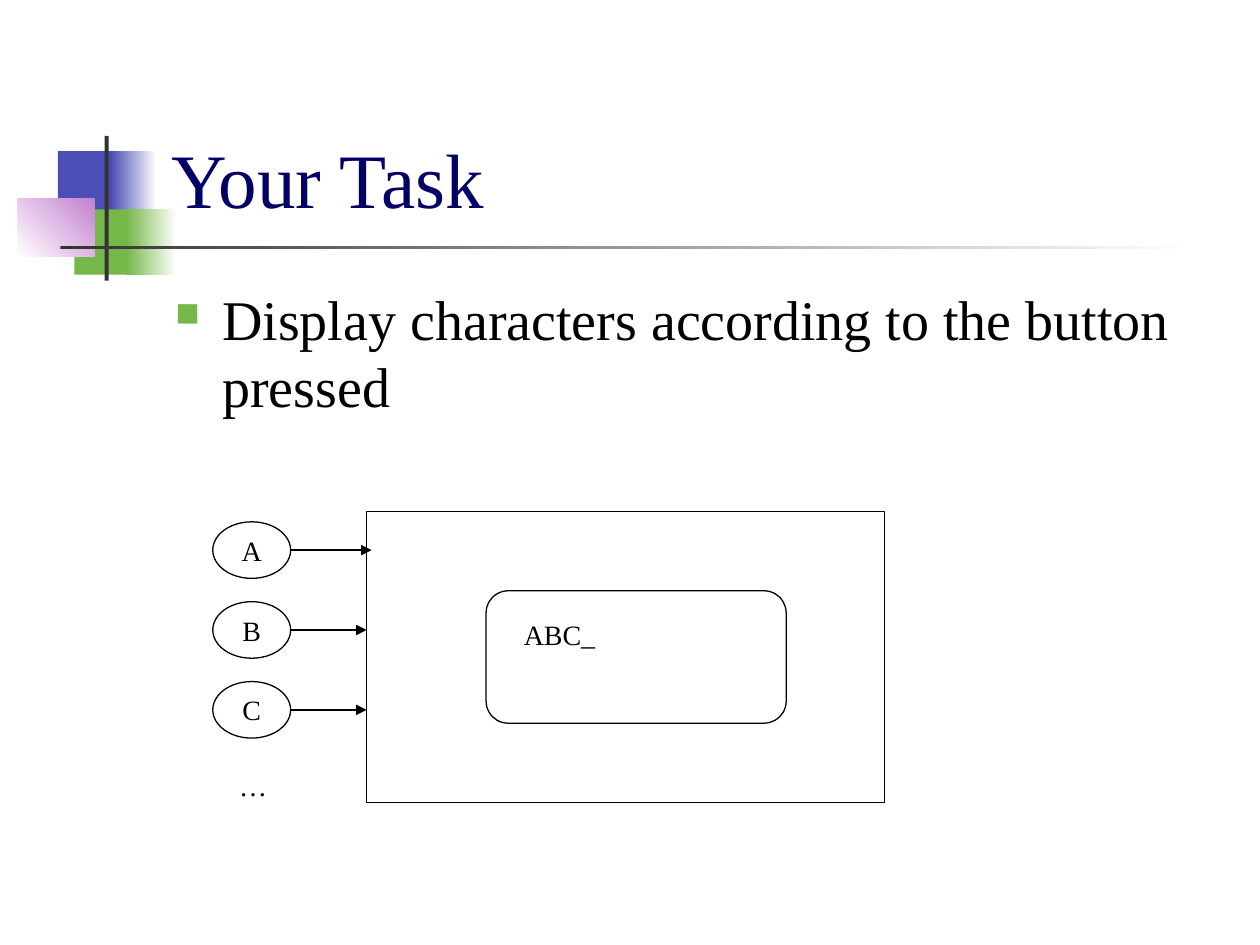
from lxml import etree
from pptx import Presentation
from pptx.dml.color import RGBColor as RGB
from pptx.enum.shapes import MSO_CONNECTOR as CONNECTOR, MSO_SHAPE as SHAPE
from pptx.enum.text import MSO_ANCHOR as ANCHOR, PP_ALIGN as ALIGN
from pptx.oxml.ns import qn
from pptx.util import Cm, Pt

COLORS = {
    "blue": "4B4EB5", "green": "76B749", "pink": "C481CF", "dark": "333333",
    "white": "FFFFFF", "title": "000066", "black": "000000",
}
FONT = "Times New Roman"
DECORATIONS = [
    ((1.17, 3.05, 1.22, 1.32), ["blue"], 0),
    ((2.24, 3.05, 0.91, 1.32), ["blue", "white"], 0),
    ((1.5, 4.22, 1.17, 1.32), ["green"], 0),
    ((2.54, 4.22, 1.02, 1.32), ["green", "white"], 0),
    ((0.36, 4.01, 1.55, 1.17), ["white", "pink"], 45),
    ((2.11, 2.74, 0.08, 2.92), ["dark"], 0),
    ((1.22, 4.95, 22.86, 0.08), ["dark", "white"], 0),
]
BUTTON_LEFT, BUTTON_TOP, BUTTON_PITCH = 4.29, 10.52, 1.61
BUTTON_WIDTH, BUTTON_HEIGHT = 1.57, 1.14
BUTTONS = [("A", 7.49), ("B", 7.39), ("C", 7.39)]


def color(name):
    return RGB.from_string(COLORS[name])


def apply_format(target, values):
    for name, value in values.items():
        setattr(target, name, value)


def write_text(shape, text, size, tint="black", align=ALIGN.LEFT, **frame_format):
    apply_format(shape.text_frame, frame_format)
    paragraph = shape.text_frame.paragraphs[0]
    paragraph.alignment = align
    run = paragraph.add_run()
    run.text = text
    apply_format(run.font, {"name": FONT, "size": Pt(size)})
    run.font.color.rgb = color(tint)
    return paragraph


def add_text(slide, box, text, size, tint="black", **frame_format):
    shape = slide.shapes.add_textbox(*map(Cm, box))
    return write_text(shape, text, size, tint, **frame_format)


def add_decoration(slide, box, tints, angle):
    shape = slide.shapes.add_shape(SHAPE.RECTANGLE, *map(Cm, box))
    shape.shadow.inherit = False
    shape.line.fill.background()
    if len(tints) == 1:
        shape.fill.solid()
        shape.fill.fore_color.rgb = color(tints[0])
        return
    shape.fill.gradient()
    shape.fill.gradient_angle = angle
    for stop, tint in zip(shape.fill.gradient_stops, tints):
        stop.color.rgb = color(tint)


def set_line(line):
    line.width = Pt(0.75)
    line.fill.solid()
    line.fill.fore_color.rgb = color("black")


def add_outline(slide, kind, box):
    shape = slide.shapes.add_shape(kind, *map(Cm, box))
    shape.shadow.inherit = False
    shape.fill.background()
    set_line(shape.line)
    return shape


def add_arrow(slide, start, end, height):
    arrow = slide.shapes.add_connector(
        CONNECTOR.STRAIGHT, Cm(start), Cm(height), Cm(end), Cm(height))
    set_line(arrow.line)
    properties = arrow.element.spPr
    etree.SubElement(properties.find(qn("a:ln")), qn("a:tailEnd"), type="triangle")
    etree.SubElement(properties, qn("a:effectLst"))


def add_bullet(paragraph, tint):
    paragraph.space_before = Pt(6)
    properties = paragraph._p.get_or_add_pPr()
    properties.set("marL", str(Cm(0.95)))
    properties.set("indent", str(Cm(-0.95)))
    bullet_color = etree.SubElement(properties, qn("a:buClr"))
    etree.SubElement(bullet_color, qn("a:srgbClr"), val=COLORS[tint])
    etree.SubElement(properties, qn("a:buSzPct"), val="60000")
    etree.SubElement(properties, qn("a:buChar"), char="■")


def add_button(slide, row, label, arrow_end):
    top = BUTTON_TOP + row * BUTTON_PITCH
    button = add_outline(
        slide, SHAPE.OVAL, (BUTTON_LEFT, top, BUTTON_WIDTH, BUTTON_HEIGHT))
    write_text(button, label, 16, align=ALIGN.CENTER,
               vertical_anchor=ANCHOR.MIDDLE, word_wrap=False)
    add_arrow(slide, BUTTON_LEFT + BUTTON_WIDTH, arrow_end, top + BUTTON_HEIGHT / 2)


def add_display(slide):
    add_outline(slide, SHAPE.ROUNDED_RECTANGLE, (9.8, 11.91, 6.05, 2.67))
    add_text(slide, (10.31, 12.32, 1.96, 0.94), "ABC_", 16, word_wrap=False)
    add_outline(slide, SHAPE.RECTANGLE, (7.39, 10.31, 10.44, 5.87))


def main():
    presentation = Presentation()
    apply_format(presentation, {"slide_width": Cm(25.4), "slide_height": Cm(19.05)})
    slide = presentation.slides.add_slide(presentation.slide_layouts[6])
    for decoration in DECORATIONS:
        add_decoration(slide, *decoration)
    add_text(slide, (3.2, 0.58, 21.64, 4.06), "Your Task", 44, "title",
             vertical_anchor=ANCHOR.BOTTOM, word_wrap=True)
    task = add_text(slide, (3.28, 5.61, 21.59, 3.3),
                    "Display characters according to the button pressed", 32,
                    word_wrap=True)
    add_bullet(task, "green")
    add_display(slide)
    for row, (label, arrow_end) in enumerate(BUTTONS):
        add_button(slide, row, label, arrow_end)
    add_text(slide, (4.57, 15.37, 1.09, 0.94), "…", 16, word_wrap=False)
    presentation.save("out.pptx")


main()
